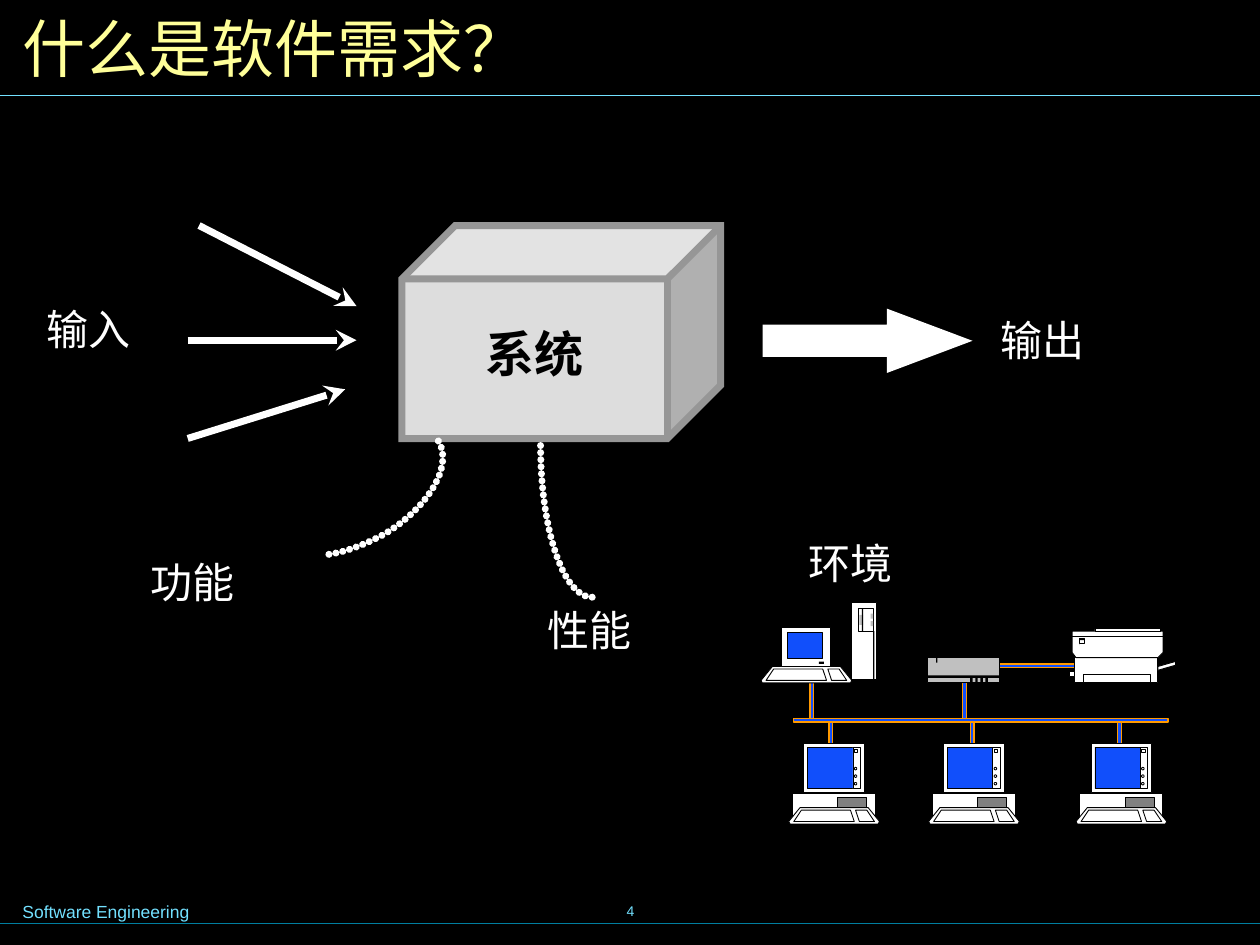
from lxml import etree
from pptx import Presentation
from pptx.dml.color import RGBColor
from pptx.enum.shapes import MSO_CONNECTOR, MSO_SHAPE
from pptx.enum.text import MSO_ANCHOR, MSO_AUTO_SIZE, PP_ALIGN
from pptx.oxml.ns import qn
from pptx.util import Inches, Pt

RECT, OVAL = MSO_SHAPE.RECTANGLE, MSO_SHAPE.OVAL
CUBE, ARROW = MSO_SHAPE.CUBE, MSO_SHAPE.RIGHT_ARROW
STRAIGHT = MSO_CONNECTOR.STRAIGHT
LEFT, CENTER = PP_ALIGN.LEFT, PP_ALIGN.CENTER
TOP, MIDDLE = MSO_ANCHOR.TOP, MSO_ANCHOR.MIDDLE
COLORS = {
    "black": "000000", "white": "FFFFFF", "title": "FFFF99", "cyan": "73E1FF",
    "teal": "007E9F", "cube": "DDDDDD", "edge": "969696", "blue": "114FFB",
    "orange": "FF9900", "gray": "808080", "silver": "C0C0C0",
}
RGB = {name: RGBColor.from_string(value) for name, value in COLORS.items()}


def draw(shapes, kind, geometry, fill="white", line="black", width=0.5):
    """Add a preset shape from (left, top, width, height), or an outline from points."""
    if kind is None:
        points = [(Inches(x), Inches(y)) for x, y in geometry]
        builder = shapes.build_freeform(*points[0], scale=1.0)
        builder.add_line_segments(points[1:], close=fill is not None)
        sp = builder.convert_to_shape()
    else:
        sp = shapes.add_shape(kind, *[Inches(v) for v in geometry])
    sp.shadow.inherit = False
    if fill:
        sp.fill.solid()
        sp.fill.fore_color.rgb = RGB[fill]
    else:
        sp.fill.background()
    if line:
        sp.line.color.rgb = RGB[line]
        sp.line.width = Pt(width)
    else:
        sp.line.fill.background()
    return sp


def connect(shapes, ends, color, width, arrow=False):
    cxn = shapes.add_connector(STRAIGHT, *[Inches(v) for v in ends])
    cxn.line.color.rgb = RGB[color]
    cxn.line.width = Pt(width)
    spPr = cxn._element.spPr
    if arrow:
        etree.SubElement(spPr.find(qn("a:ln")), qn("a:tailEnd"), type="stealth")
    etree.SubElement(spPr, qn("a:effectLst"))


prs = Presentation()
prs.slide_width, prs.slide_height = Inches(10), Inches(7.5)
s = prs.slides.add_slide(prs.slide_layouts[5])
s.background.fill.solid()
s.background.fill.fore_color.rgb = RGB["black"]

# Rules and title
connect(s.shapes, (0, 7.33, 10, 7.33), "teal", 0.75)
connect(s.shapes, (0, 0.76, 10, 0.76), "cyan", 0.75)
title = s.shapes.title
title.left, title.top, title.width, title.height = [Inches(v) for v in (0.08, 0.15, 9.84, 0.58)]
title.text_frame.text = "什么是软件需求？"
title.text_frame.vertical_anchor = MIDDLE
title.text_frame.auto_size = MSO_AUTO_SIZE.NONE
p = title.text_frame.paragraphs[0]
p.alignment = LEFT
p.line_spacing = Pt(34)
font = p.runs[0].font
font.name, font.size, font.color.rgb = "Arial Narrow", Pt(36), RGB["title"]

# System with its inputs and output
cube = draw(s.shapes, CUBE, (3.19, 1.79, 2.53, 1.69), "cube", "edge", 4)
cube.adjustments[0] = 0.25
for ends in [(1.49, 3.48, 2.74, 3.09), (1.49, 2.7, 2.83, 2.7), (1.58, 1.79, 2.83, 2.43)]:
    connect(s.shapes, ends, "white", 4, arrow=True)
output = draw(s.shapes, ARROW, (6.08, 2.49, 1.56, 0.43), "white", "white", 4)
output.adjustments[0], output.adjustments[1] = 0.47, 1.33
for sp in (cube, output):
    etree.SubElement(sp._element.spPr.find(qn("a:ln")), qn("a:miter"), lim="800000")

# Dotted curves, sampled from Bezier segments
curves = [
    [((4.7, 4.74), (4.47, 4.74), (4.29, 4.2), (4.29, 3.53))],
    [((3.48, 3.5), (3.6, 3.7), (3.4, 4.03), (3.05, 4.24)),
     ((3.05, 4.24), (2.9, 4.32), (2.75, 4.38), (2.61, 4.4))],
]
STEPS = 24
for segments in curves:
    points = [segments[0][0]]
    for segment in segments:
        for i in range(1, STEPS + 1):
            t = i / STEPS
            weights = ((1 - t) ** 3, 3 * t * (1 - t) ** 2, 3 * t * t * (1 - t), t ** 3)
            points.append(tuple(sum(w * pt[axis] for w, pt in zip(weights, segment))
                                for axis in (0, 1)))
    ln = draw(s.shapes, None, points, None, "white", 4)._element.spPr.find(qn("a:ln"))
    ln.set("cap", "rnd")
    dash = etree.SubElement(ln, qn("a:custDash"))
    etree.SubElement(dash, qn("a:ds"), d="1000", sp="100000")
    etree.SubElement(ln, qn("a:round"))

# Labels: text, box, size, colour, bold, alignment, anchor, wrap
labels = [
    ("4", (3.42, 6.98, 3.17, 0.5), 8, "cyan", False, CENTER, MIDDLE, False),
    ("Software Engineering", (0.08, 7.1, 2.95, 0.27), 10, "cyan", False, LEFT, TOP, True),
    ("系统", (3.29, 2.52, 1.91, 0.57), 28, "black", True, CENTER, TOP, True),
]
for text, x, y in [("输入", 0.27, 2.36), ("输出", 7.84, 2.45), ("功能", 1.1, 4.37),
                   ("性能", 4.25, 4.75), ("环境", 6.32, 4.22)]:
    labels.append((text, (x, y, 0.87, 0.5), 24, "white", False, LEFT, TOP, False))
for text, box, size, color, bold, align, anchor, wrap in labels:
    tf = s.shapes.add_textbox(*[Inches(v) for v in box]).text_frame
    tf.text = text
    tf.word_wrap = wrap
    tf.vertical_anchor = anchor
    tf.auto_size = MSO_AUTO_SIZE.NONE if anchor == MIDDLE else MSO_AUTO_SIZE.SHAPE_TO_FIT_TEXT
    p = tf.paragraphs[0]
    p.alignment = align
    font = p.runs[0].font
    font.name, font.size, font.bold, font.color.rgb = "Arial", Pt(size), bold, RGB[color]

# Network cables
for x, y in [(8.87, 5.72), (7.7, 5.71), (7.64, 5.4), (6.58, 5.71), (6.43, 5.39)]:
    draw(s.shapes, RECT, (x, y, 0.03, 0.32), "blue", "orange", 0.75)
for box in [(7.77, 5.27, 0.81, 0.03), (6.3, 5.7, 2.97, 0.03)]:
    draw(s.shapes, RECT, box, "blue", "orange", 0.75)

# Keyboard outlines, relative to the keyboard's top left corner
KEYBOARD = [
    [(0.09, 0), (0.63, 0), (0.72, 0.11), (0.71, 0.13), (0.01, 0.13), (0, 0.11)],
    [(0.1, 0.02), (0.49, 0.02), (0.52, 0.11), (0.04, 0.11)],
    [(0.53, 0.02), (0.62, 0.02), (0.68, 0.11), (0.56, 0.11)],
]

# Three desktop computers
for x in (6.26, 7.37, 8.54):
    pc = s.shapes.add_group_shape().shapes
    draw(pc, RECT, (x + 0.03, 6.3, 0.66, 0.2))
    draw(pc, RECT, (x + 0.39, 6.33, 0.23, 0.09), "gray")
    for outline in KEYBOARD:
        draw(pc, None, [(x + dx, 6.41 + dy) for dx, dy in outline])
    draw(pc, RECT, (x + 0.12, 5.9, 0.48, 0.39))
    draw(pc, RECT, (x + 0.15, 5.93, 0.41, 0.33), "blue")
    draw(pc, RECT, (x + 0.51, 5.93, 0.06, 0.33))
    draw(pc, RECT, (x + 0.52, 5.95, 0.03, 0.02))
    for i in range(3):
        draw(pc, OVAL, (x + 0.52, 6.09 + 0.06 * i, 0.02, 0.02))

# Network hub
hub = s.shapes.add_group_shape().shapes
draw(hub, RECT, (7.36, 5.22, 0.57, 0.2), "silver")
draw(hub, RECT, (7.36, 5.36, 0.57, 0.02), "black", None)
for i in range(4):
    draw(hub, RECT, (7.7 + 0.04 * i, 5.37, 0.02, 0.05), "black", None)
draw(hub, RECT, (7.43, 5.21, 0.01, 0.05), "black", None)

# Printer
printer = s.shapes.add_group_shape().shapes
draw(printer, RECT, (8.53, 5.22, 0.66, 0.2))
draw(printer, RECT, (8.6, 5.35, 0.53, 0.07))
draw(printer, None, [(8.51, 5.18), (8.54, 5.22), (9.19, 5.22), (9.23, 5.18), (9.23, 5.01), (8.51, 5.01)])
draw(printer, RECT, (8.49, 5.33, 0.04, 0.04))
connect(printer, (8.51, 5.05, 9.24, 5.05), "black", 0.5)
draw(printer, RECT, (8.69, 4.99, 0.52, 0.02))
draw(printer, None, [(9.19, 5.29), (9.33, 5.25), (9.33, 5.28), (9.19, 5.32)])
draw(printer, RECT, (8.57, 5.07, 0.04, 0.04))
draw(printer, None, [(8.61, 5.08), (8.57, 5.08), (8.57, 5.12), (8.57, 5.07), (8.61, 5.07)], "black", None)

# Workstation with tower
tower = s.shapes.add_group_shape().shapes
draw(tower, None, [(6.58, 5.2), (6.65, 5.19), (6.68, 5.2), (6.71, 5.26), (6.74, 5.28), (6.77, 5.28)],
     None, "black", 0.88)
for outline in KEYBOARD:
    draw(tower, None, [(6.04 + dx, 5.29 + dy) for dx, dy in outline])
for box, fill, line in [
    ((6.2, 4.98, 0.39, 0.31), "white", "black"),
    ((6.25, 5.02, 0.28, 0.21), "blue", "black"),
    ((6.5, 5.25, 0.04, 0.02), "black", None),
    ((6.76, 4.78, 0.2, 0.61), "white", "black"),
    ((6.81, 4.83, 0.12, 0.18), "white", "black"),
    ((6.93, 5.01, 0.01, 0.39), "black", None),
    ((6.82, 4.88, 0.03, 0.08), "silver", None),
    ((6.84, 4.83, 0.01, 0.18), "black", None),
    ((6.91, 4.87, 0.02, 0.04), "silver", None),
    ((6.91, 4.93, 0.02, 0.04), "silver", None),
]:
    draw(tower, RECT, box, fill, line)

prs.save("out.pptx")
